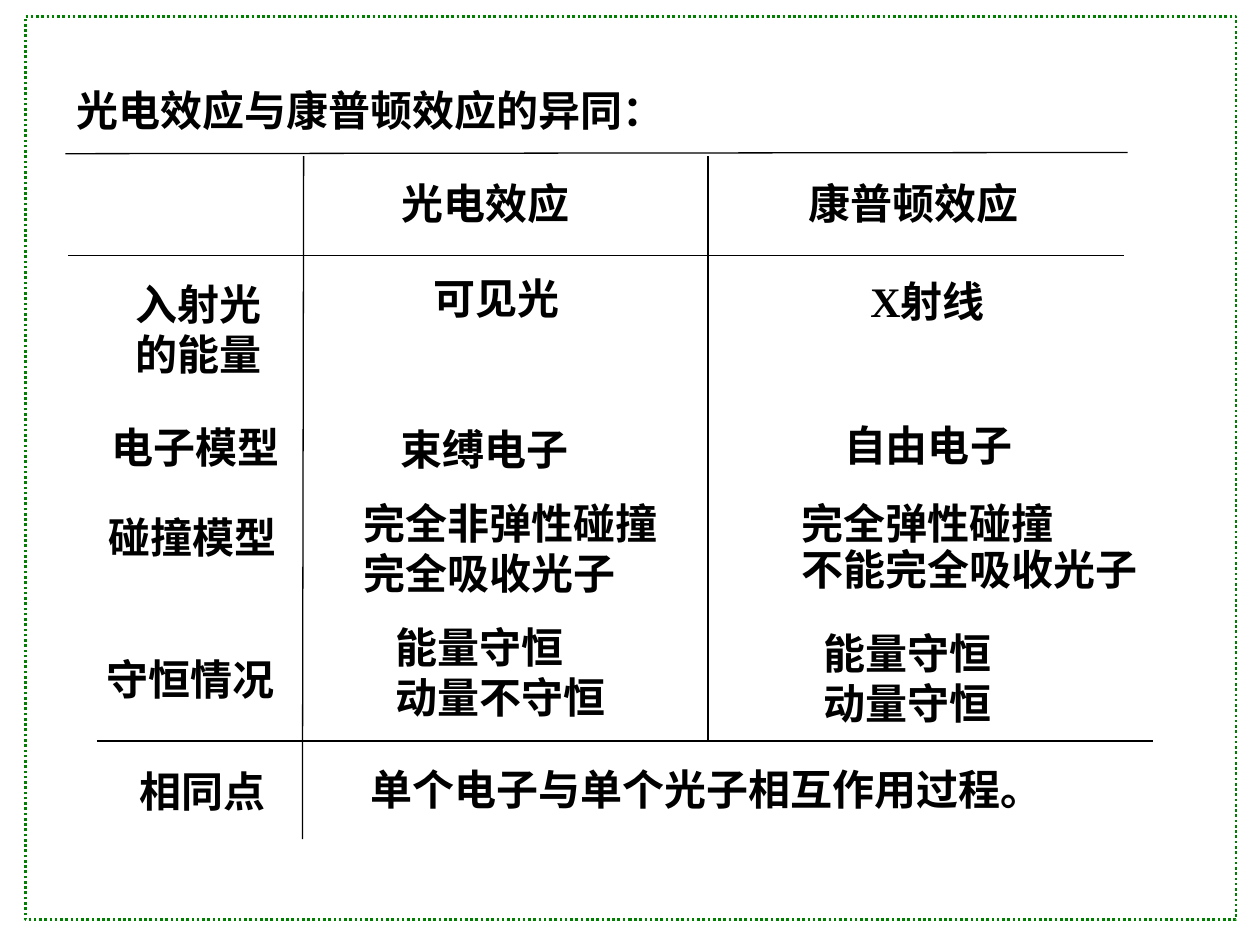
import pptx
import pptx.dml.color
import pptx.enum.dml
import pptx.enum.shapes
import pptx.enum.text
import pptx.oxml.ns
import pptx.util
from lxml import etree
from pptx.util import Inches

BLACK = pptx.dml.color.RGBColor(0, 0, 0)
GREEN = pptx.dml.color.RGBColor(0, 128, 0)


class SlideWriter:
    def __init__(self, slide, font="Times New Roman", size=24):
        self.slide = slide
        self.font = font
        self.size = pptx.util.Pt(size)

    def frame(self, left, top, width, height):
        shape = self.slide.shapes.add_shape(
            pptx.enum.shapes.MSO_SHAPE.RECTANGLE,
            Inches(left), Inches(top), Inches(width), Inches(height))
        shape.shadow.inherit = False
        shape.fill.background()
        shape.line.color.rgb = GREEN
        shape.line.width = pptx.util.Pt(1.5)
        shape.line.dash_style = pptx.enum.dml.MSO_LINE.ROUND_DOT

    def rule(self, x1, y1, x2, y2):
        line = self.slide.shapes.add_connector(
            pptx.enum.shapes.MSO_CONNECTOR.STRAIGHT,
            Inches(x1), Inches(y1), Inches(x2), Inches(y2))
        line.line.color.rgb = BLACK
        line.line.width = pptx.util.Pt(0.75)
        properties = line._element.spPr
        etree.SubElement(properties, pptx.oxml.ns.qn("a:effectLst"))

    def text(self, words, left, top, width, height=0.5, wrap=True,
             centred=False, second_spacing=None):
        """Add bold text; second_spacing tightens the second line."""
        box = self.slide.shapes.add_textbox(
            Inches(left), Inches(top), Inches(width), Inches(height))
        frame = box.text_frame
        frame.text = words
        frame.word_wrap = wrap
        frame.auto_size = pptx.enum.text.MSO_AUTO_SIZE.SHAPE_TO_FIT_TEXT
        for para in frame.paragraphs:
            if centred:
                para.alignment = pptx.enum.text.PP_ALIGN.CENTER
            for span in para.runs:
                span.font.name = self.font
                span.font.size = self.size
                span.font.bold = True
                span.font.color.rgb = BLACK
        if second_spacing:
            para = frame.paragraphs[1]
            para.line_spacing = second_spacing
            para.space_before = pptx.util.Pt(14.4)


def main():
    deck = pptx.Presentation()
    deck.slide_width = Inches(10)
    deck.slide_height = Inches(7.5)
    writer = SlideWriter(deck.slides.add_slide(deck.slide_layouts[6]))

    writer.frame(0.2, 0.13, 9.61, 7.17)
    writer.text("光电效应与康普顿效应的异同：", 0.51, 0.62, 5.38)

    for ends in [(0.52, 1.22, 8.95, 1.21), (0.54, 2.03, 8.92, 2.03),
                 (0.77, 5.88, 9.15, 5.88), (2.41, 1.24, 2.4, 6.66),
                 (5.62, 1.24, 5.62, 5.87)]:
        writer.rule(*ends)

    # Column headings
    writer.text("光电效应", 3.09, 1.36, 1.53, wrap=False)
    writer.text("康普顿效应", 6.32, 1.36, 1.87, wrap=False)

    # Energy of the incident light
    writer.text("入射光\n的能量", 0.98, 2.16, 1.21, 0.91, wrap=False)
    writer.text("可见光", 3.34, 2.11, 1.2, wrap=False)
    writer.text("X射线", 6.81, 2.14, 1.11)

    # Electron model
    writer.text("电子模型", 0.79, 3.3, 1.68)
    writer.text("束缚电子", 3.08, 3.31, 1.68)
    writer.text("自由电子", 6.6, 3.28, 1.68)

    # Collision model
    writer.text("碰撞模型", 0.76, 4.01, 1.68)
    writer.text("完全非弹性碰撞\n完全吸收光子", 2.79, 3.9, 2.56, 0.87,
                second_spacing=0.4)
    writer.text("完全弹性碰撞\n不能完全吸收光子", 6.26, 3.9, 2.89, 0.83,
                second_spacing=0.3)

    # Conservation
    writer.text("守恒情况", 0.75, 5.14, 1.65)
    writer.text("能量守恒\n动量不守恒", 3.04, 4.88, 1.89, 0.91, wrap=False)
    writer.text("能量守恒\n动量守恒", 6.44, 4.93, 1.55, 0.91, wrap=False)

    # Common ground
    writer.text("相同点", 0.83, 6.03, 1.56, centred=True)
    writer.text("单个电子与单个光子相互作用过程。", 2.84, 6.01, 5.87)

    deck.save("out.pptx")


if __name__ == "__main__":
    main()
